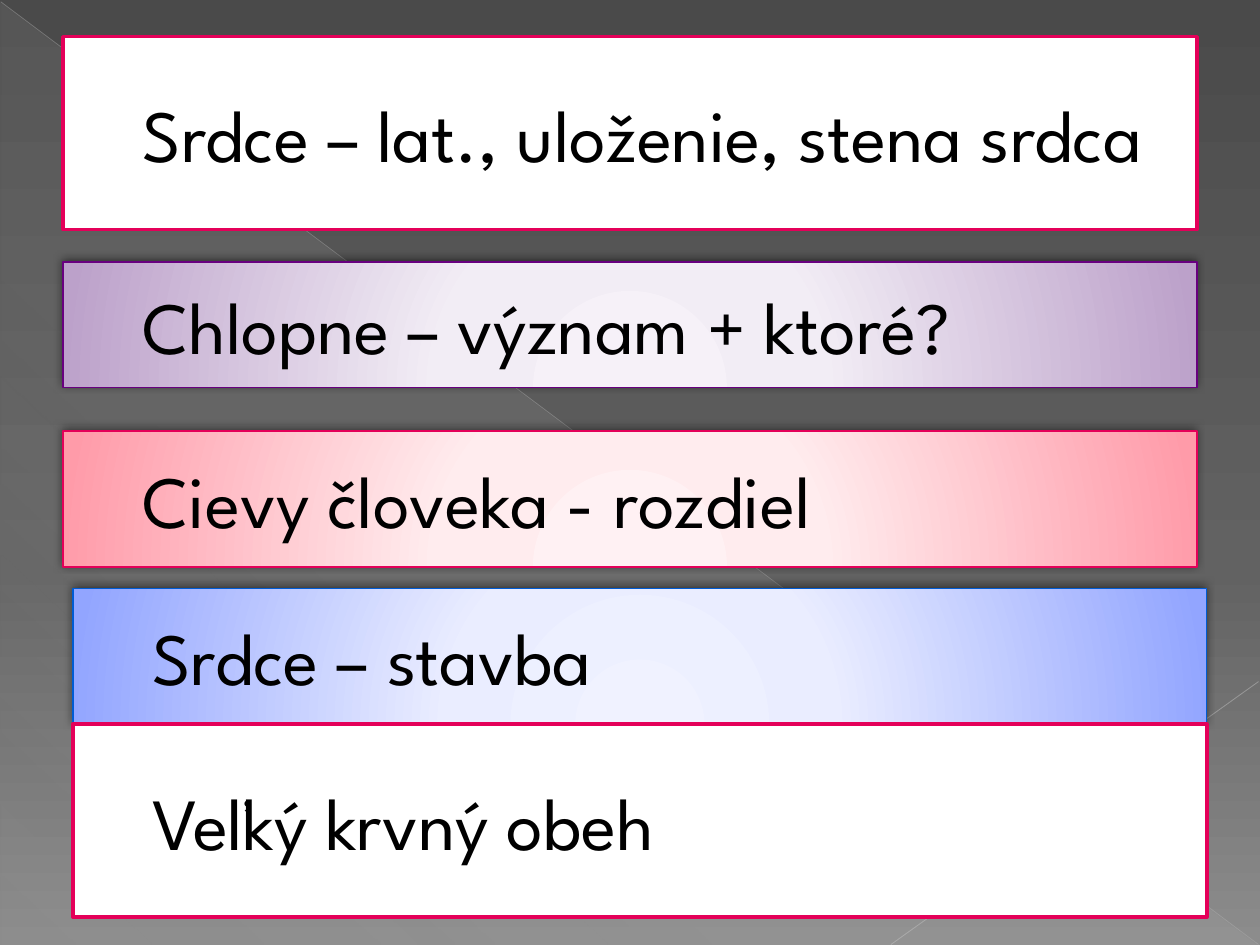
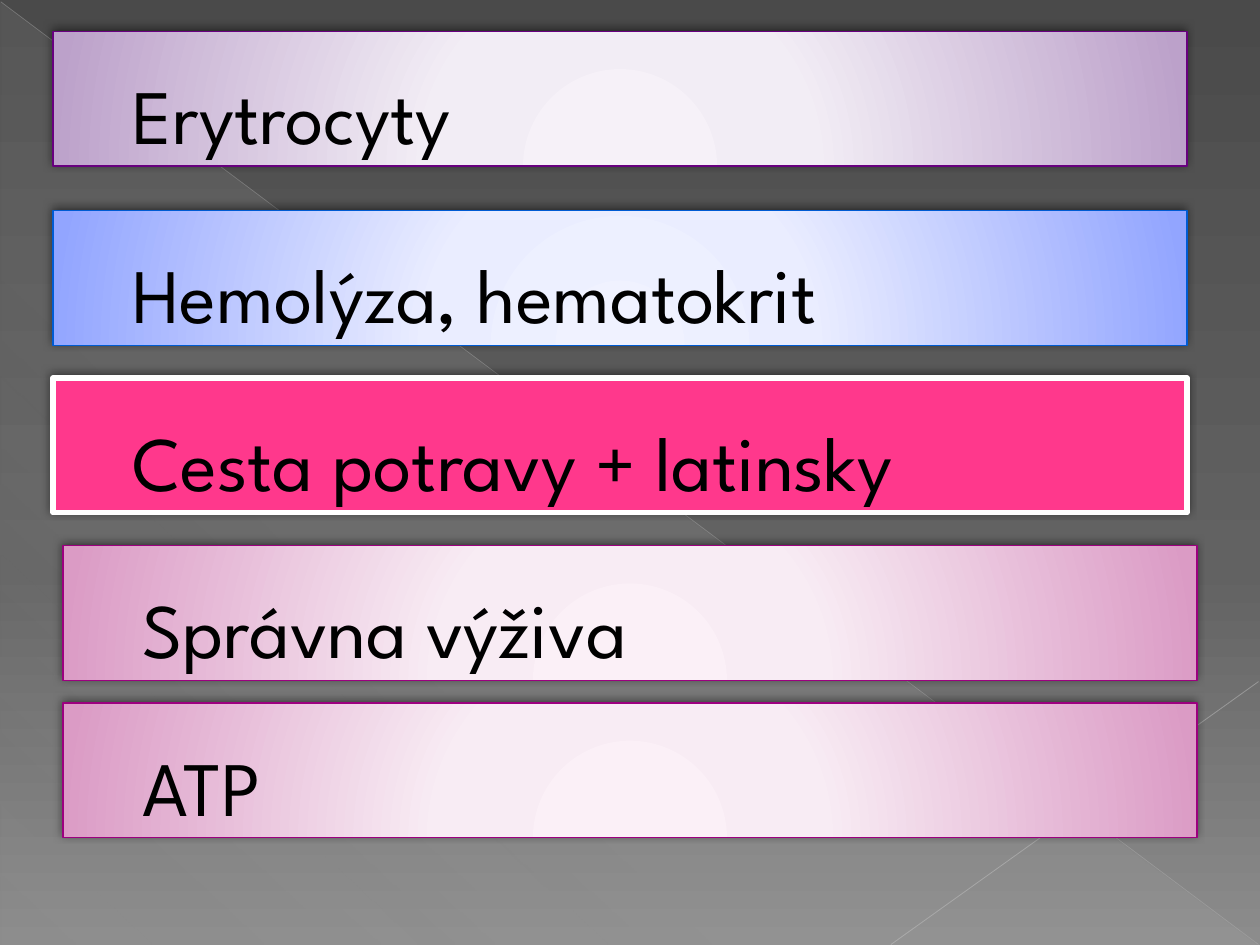
import pptx
import pptx.dml.color
import pptx.enum.shapes
import pptx.enum.text
import pptx.oxml
import pptx.oxml.ns
import pptx.util
from lxml import etree
from collections import namedtuple

Cm = pptx.util.Cm
Pt = pptx.util.Pt
qn = pptx.oxml.ns.qn
Anchor = pptx.enum.text.MSO_ANCHOR
Shapes = pptx.enum.shapes.MSO_SHAPE

Box = namedtuple("Box", "left top width height")
Style = namedtuple("Style", "fill line line_width shadow")
Bar = namedtuple("Bar", "text style box")

FONT = "League Spartan"
TEXT_COLOUR = "000000"
OUTLINE = "B12761"
TEXT_INDENT = 1.35
SLIDE_WIDTH, SLIDE_HEIGHT = 25.4, 19.05
BAR_WIDTH = 22.86
CENTRE = '<a:path path="circle"><a:fillToRect l="50000" t="155000" r="50000" b="-55000"/></a:path>'

WHITE = Style(["FFFFFF"], "E40059", 2, False)
PINK = Style(["FF388C"], "FFFFFF", 3, True)
VIOLET = Style(["F6F1F8", "F2EDF5", "BCA1CA"], "68007F", 0.75, True)
ROSE = Style(["FFF1F3", "FFECEE", "FF9BA9"], "E40059", 0.75, True)
BLUE = Style(["F0F2FF", "EAEDFF", "92A5FF"], "005BD3", 0.75, True)
MAGENTA = Style(["FBF0F7", "F8ECF4", "DB9BC5"], "9C007F", 0.75, True)


def colour(value):
    return pptx.dml.color.RGBColor.from_string(value)


def lengths(*values):
    return [Cm(value) for value in values]


def set_gradient(fill, owner, stops, direction):
    fill.gradient()
    stop_xml = "".join(
        f'<a:gs pos="{position * 1000}"><a:srgbClr val="{value}">'
        f'<a:alpha val="{opacity * 1000}"/></a:srgbClr></a:gs>'
        for position, value, opacity in stops
    )
    gradient = pptx.oxml.parse_xml(
        f'<a:gradFill {pptx.oxml.ns.nsdecls("a")} rotWithShape="1">'
        f"<a:gsLst>{stop_xml}</a:gsLst>{direction}</a:gradFill>"
    )
    previous = owner.find(".//" + qn("a:gradFill"))
    previous.getparent().replace(previous, gradient)


def linear(angle):
    return f'<a:lin ang="{angle * 60000}" scaled="0"/>'


def add_shadow(shape):
    effects = shape.element.spPr.find(qn("a:effectLst"))
    effects.append(pptx.oxml.parse_xml(
        f'<a:outerShdw {pptx.oxml.ns.nsdecls("a")} blurRad="{Pt(5)}" dist="{Pt(2)}" '
        f'dir="{245 * 60000}" algn="tl" rotWithShape="0"><a:srgbClr val="000000">'
        '<a:alpha val="50000"/></a:srgbClr></a:outerShdw>'
    ))


def add_thin_line(slide, start, end, value, width, opacity):
    line = slide.shapes.add_connector(
        pptx.enum.shapes.MSO_CONNECTOR.STRAIGHT, *lengths(*start, *end)
    )
    line.line.color.rgb = colour(value)
    line.line.width = Pt(width)
    properties = line.element.spPr
    alpha = etree.SubElement(properties.find(".//" + qn("a:srgbClr")), qn("a:alpha"))
    alpha.set("val", str(opacity * 1000))
    etree.SubElement(properties, qn("a:effectLst"))
    return line


def build_backdrop(master, slide, box):
    set_gradient(
        master.background.fill, master.element,
        [(0, "4A4A4A", 100), (60, "626262", 100), (100, "8C8C8C", 100)], linear(90),
    )
    triangle = slide.shapes.add_shape(Shapes.RIGHT_TRIANGLE, *lengths(*box))
    triangle.shadow.inherit = False
    triangle.line.fill.background()
    set_gradient(
        triangle.fill, triangle.element,
        [(0, "D2D2D2", 10), (70, "D2D2D2", 8), (100, "D2D2D2", 1)], linear(133),
    )
    right, bottom = box.left + box.width, box.top + box.height
    diagonal = add_thin_line(slide, (box.left, box.top), (right, bottom), "BFBFBF", 0.39, 35)
    corner = add_thin_line(slide, (right, 13.74), (17.96, bottom), "C6C6C6", 0.47, 45)
    for shape in (triangle, diagonal, corner):
        master.shapes.element.append(shape.element)


def format_bar(shape, bar, size, anchor):
    shape.left, shape.top, shape.width, shape.height = lengths(*bar.box)
    shape.shadow.inherit = False
    if bar.style.shadow:
        add_shadow(shape)
    if len(bar.style.fill) == 1:
        shape.fill.solid()
        shape.fill.fore_color.rgb = colour(bar.style.fill[0])
    else:
        stops = [(position, value, 100) for position, value in zip((0, 34, 100), bar.style.fill)]
        set_gradient(shape.fill, shape.element, stops, CENTRE)
    shape.line.color.rgb = colour(bar.style.line)
    shape.line.width = Pt(bar.style.line_width)
    write_bar_text(shape.text_frame, bar.text, size, anchor)


def write_bar_text(frame, text, size, anchor):
    frame.word_wrap = True
    frame.auto_size = pptx.enum.text.MSO_AUTO_SIZE.NONE
    frame.vertical_anchor = anchor
    paragraph = frame.paragraphs[0]
    paragraph.alignment = pptx.enum.text.PP_ALIGN.LEFT
    properties = paragraph._p.get_or_add_pPr()
    properties.set("marL", str(Cm(TEXT_INDENT)))
    properties.set("indent", "0")
    run = paragraph.add_run()
    run.text = text
    run.font.name = FONT
    run.font.size = Pt(size)
    run.font.color.rgb = colour(TEXT_COLOUR)
    run.font._element.insert(0, pptx.oxml.parse_xml(
        f'<a:ln {pptx.oxml.ns.nsdecls("a")} w="{Pt(0.5)}"><a:solidFill>'
        f'<a:srgbClr val="{OUTLINE}"/></a:solidFill></a:ln>'
    ))


def build_bars(slide, bars, size, anchor):
    format_bar(slide.shapes.title, bars[0], size, anchor)
    for bar in bars[1:]:
        shape = slide.shapes.add_shape(Shapes.RECTANGLE, *lengths(*bar.box))
        format_bar(shape, bar, size, anchor)


def heart_bars():
    rows = [
        ("Srdce – lat., uloženie, stena srdca", WHITE, 1.27, 0.74, 3.89),
        ("Chlopne – význam + ktoré?", VIOLET, 1.27, 5.28, 2.54),
        ("Cievy človeka - rozdiel", ROSE, 1.27, 8.69, 2.74),
        ("Srdce – stavba", BLUE, 1.47, 11.86, 2.74),
        ("Veľký krvný obeh", WHITE, 1.47, 14.6, 3.89),
    ]
    return [
        Bar(text, style, Box(left, top, BAR_WIDTH, height))
        for text, style, left, top, height in rows
    ]


def blood_and_food_bars():
    rows = [
        ("Erytrocyty", VIOLET, 1.07, 0.63),
        ("Hemolýza, hematokrit", BLUE, 1.07, 4.24),
        ("Cesta potravy + latinsky", PINK, 1.07, 7.62),
        ("Správna výživa", MAGENTA, 1.27, 11),
        ("ATP", MAGENTA, 1.27, 14.17),
    ]
    return [
        Bar(text, style, Box(left, top, BAR_WIDTH, 2.72))
        for text, style, left, top in rows
    ]


def main():
    presentation = pptx.Presentation()
    presentation.slide_width, presentation.slide_height = lengths(SLIDE_WIDTH, SLIDE_HEIGHT)
    layout = presentation.slide_layouts.get_by_name("Title Only")
    heart = presentation.slides.add_slide(layout)
    blood_and_food = presentation.slides.add_slide(layout)
    build_backdrop(presentation.slide_master, heart, Box(0.02, 0.04, 25.35, 19))
    build_bars(heart, heart_bars(), 42, Anchor.MIDDLE)
    build_bars(blood_and_food, blood_and_food_bars(), 44, Anchor.BOTTOM)
    presentation.save("out.pptx")


if __name__ == "__main__":
    main()
